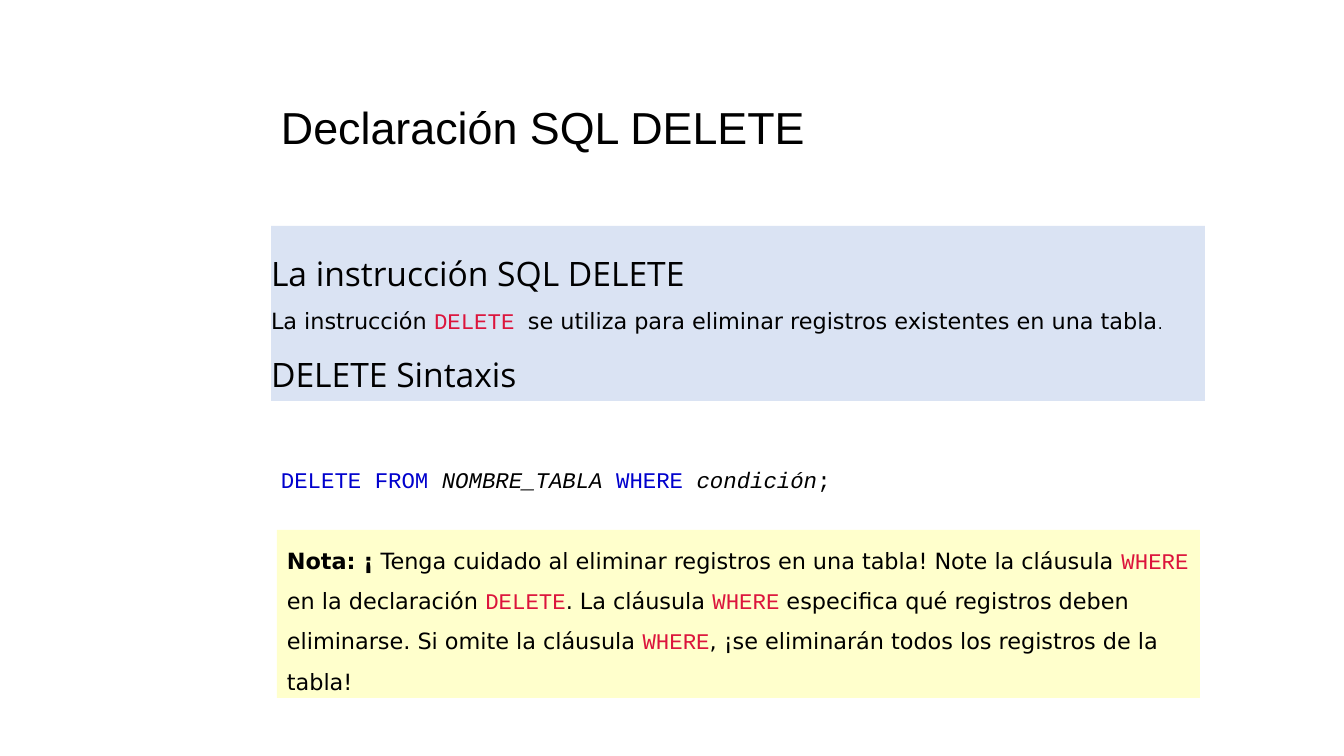
from pptx import Presentation
from pptx.dml.color import RGBColor
from pptx.enum.shapes import MSO_SHAPE
from pptx.enum.text import MSO_ANCHOR, MSO_AUTO_SIZE, PP_ALIGN

RECTANGLE = MSO_SHAPE.RECTANGLE
TOP, MIDDLE = MSO_ANCHOR.TOP, MSO_ANCHOR.MIDDLE
GROW = MSO_AUTO_SIZE.SHAPE_TO_FIT_TEXT
LEFT = PP_ALIGN.LEFT
PX = 914400 / 100.8
POINT = 12700

# style: font, size, colour, bold, italic
STYLES = {
    "title": ("Arial", 32, "000000", False, False),
    "heading": ("Open Sans", 24, "000000", False, False),
    "body": ("DejaVu Sans", 16, "000000", False, False),
    "strong": ("DejaVu Sans", 16, "000000", True, False),
    "stop": ("DejaVu Sans", 11, "000000", False, False),
    "clause": ("Courier New", 16, "DC143C", False, False),
    "keyword": ("Courier New", 16, "0000CD", False, False),
    "variable": ("Courier New", 16, "000000", False, True),
    "code": ("Courier New", 16, "000000", False, False),
}

TITLE = [[("Declaración SQL DELETE", "title")]]
INTRODUCTION = [
    [("La instrucción SQL DELETE", "heading")],
    [("La instrucción ", "body"), ("DELETE ", "clause"),
     ("se utiliza para eliminar registros existentes en una tabla", "body"),
     (".", "stop")],
    [("DELETE Sintaxis", "heading")],
]
SYNTAX = [[
    ("DELETE FROM ", "keyword"), ("NOMBRE_TABLA ", "variable"),
    ("WHERE ", "keyword"), ("condición", "variable"), (";", "code"),
]]
WARNING = [[
    ("Nota: ¡", "strong"),
    (" Tenga cuidado al eliminar registros en una tabla! Note la cláusula ", "body"),
    ("WHERE", "clause"), (" en la declaración ", "body"),
    ("DELETE", "clause"), (". La cláusula ", "body"),
    ("WHERE", "clause"),
    (" especifica qué registros deben eliminarse. Si omite la cláusula ", "body"),
    ("WHERE", "clause"),
    (", ¡se eliminarán todos los registros de la tabla!", "body"),
]]

# paragraphs, (left, top, width, height) in px, fill, side inset in px, line spacing
BLOCKS = [
    (TITLE, (271, 95, 719, 65), None, 10, 1.0),
    (INTRODUCTION, (271, 226, 934, 175), "DAE3F3", 0, 1.5),
    (SYNTAX, (271, 448, 671, 46), None, 10, 1.5),
    (WARNING, (277, 530, 923, 168), "FFFFCC", 10, 1.5),
]


def px(length):
    return round(length * PX)


def colour(hex_string):
    return RGBColor.from_string(hex_string)


def add_block(slide, paragraphs, box, fill, side_inset, spacing):
    """Add a text box, or a filled rectangle if a fill is given."""
    place = [px(length) for length in box]
    if fill:
        block = slide.shapes.add_shape(RECTANGLE, *place)
        block.shadow.inherit = False
        block.fill.solid()
        block.fill.fore_color.rgb = colour(fill)
        block.line.fill.background()
    else:
        block = slide.shapes.add_textbox(*place)

    frame = block.text_frame
    frame.word_wrap = True
    frame.auto_size = GROW
    frame.vertical_anchor = MIDDLE if fill else TOP
    frame.margin_left = frame.margin_right = px(side_inset)
    frame.margin_top = frame.margin_bottom = px(10 if side_inset == 0 else 5)

    for index, runs in enumerate(paragraphs):
        paragraph = frame.add_paragraph() if index else frame.paragraphs[0]
        paragraph.alignment = LEFT
        paragraph.line_spacing = spacing
        for text, style in runs:
            run = paragraph.add_run()
            run.text = text
            name, size, ink, bold, italic = STYLES[style]
            run.font.name = name
            run.font.size = size * POINT
            run.font.color.rgb = colour(ink)
            run.font.bold = bold
            run.font.italic = italic


def main():
    deck = Presentation()
    deck.slide_width, deck.slide_height = px(1344), px(756)
    slide = deck.slides.add_slide(deck.slide_layouts[6])
    for block in BLOCKS:
        add_block(slide, *block)
    deck.save("out.pptx")


if __name__ == "__main__":
    main()
